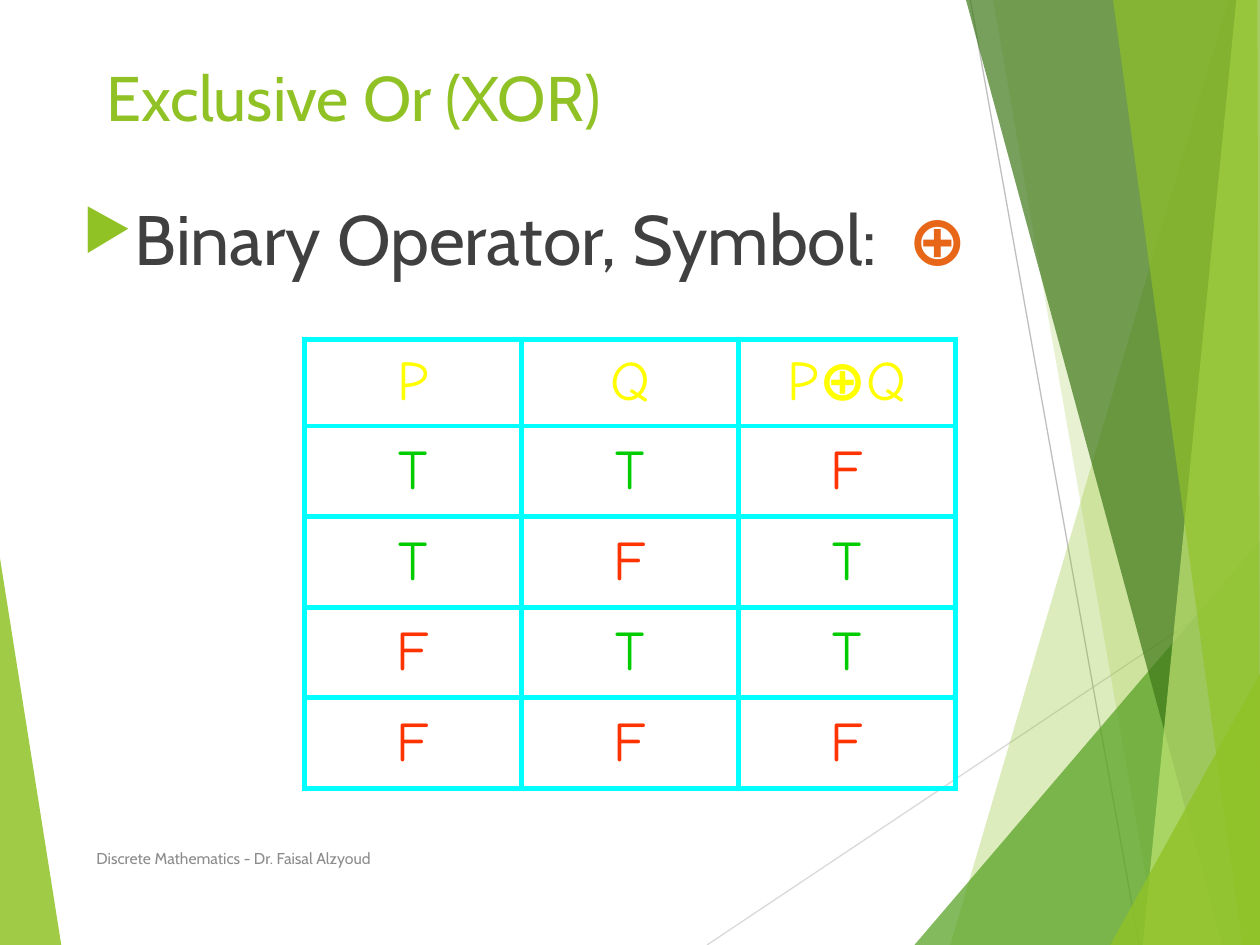
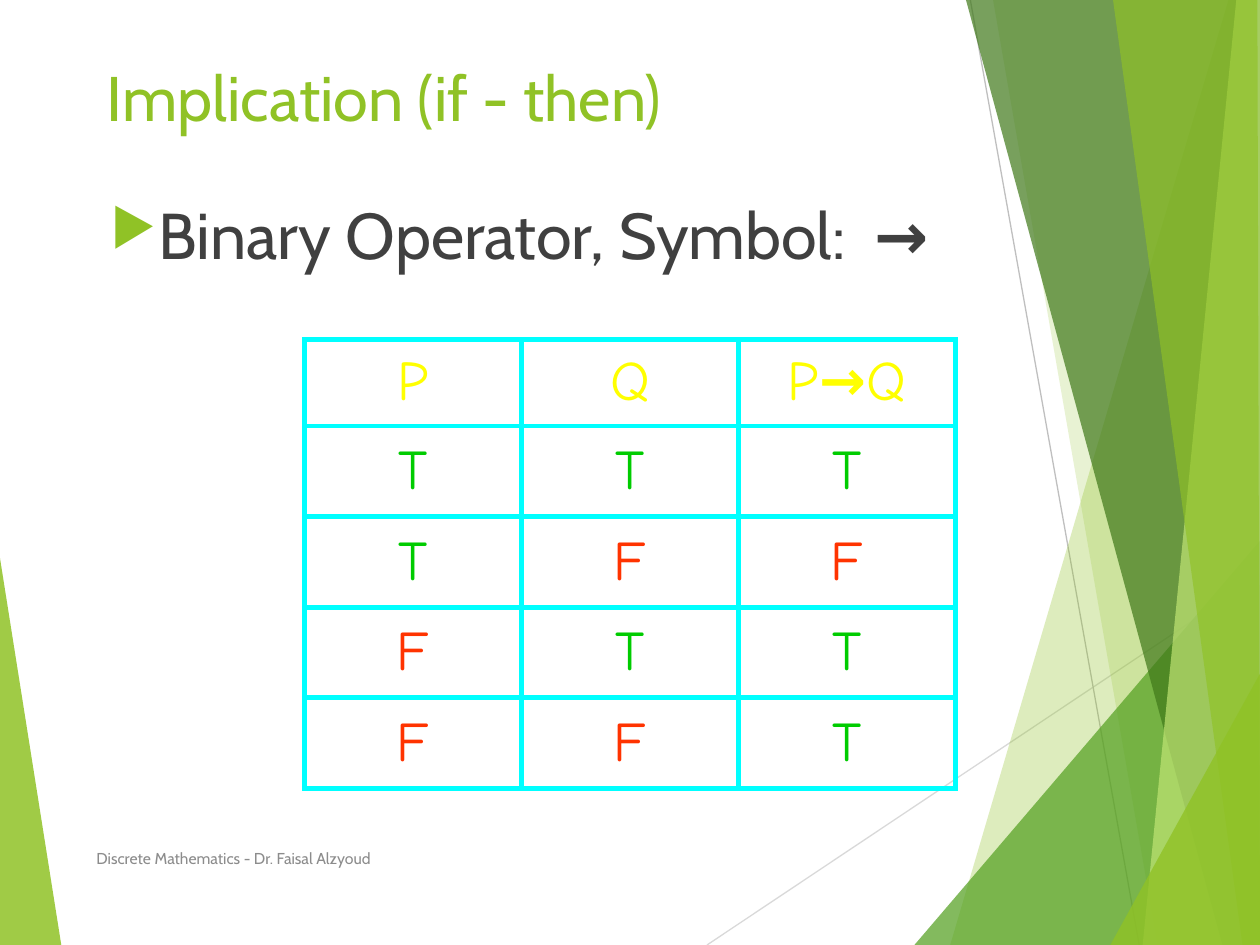
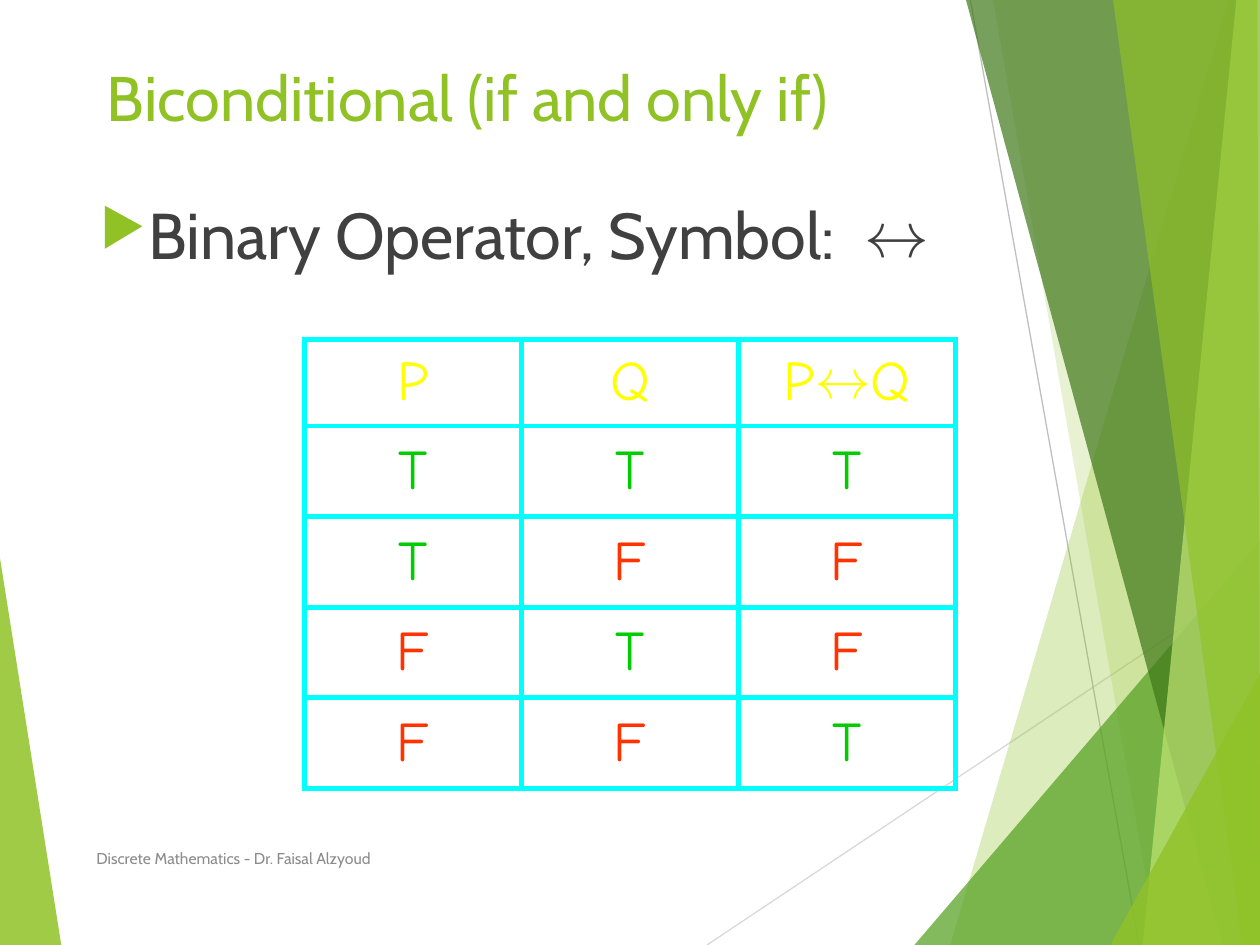
"""Builds three truth-table slides for XOR, implication and biconditional."""
from lxml import etree
from pptx import Presentation
from pptx.dml.color import RGBColor
from pptx.enum import shapes, text
from pptx.oxml import ns, parse_xml
from pptx.util import Pt

LIME = RGBColor(0x90, 0xC2, 0x26)
GREEN = RGBColor(0x54, 0xA0, 0x21)
DARK_GREEN = RGBColor(0x3F, 0x78, 0x19)
PALE_LIME = RGBColor(0xC0, 0xE4, 0x74)
LIGHT_GREY = RGBColor(0xD9, 0xD9, 0xD9)
MID_GREY = RGBColor(0xBF, 0xBF, 0xBF)
FOOTER_GREY = RGBColor(0x8C, 0x8C, 0x8C)
BODY_GREY = RGBColor(0x40, 0x40, 0x40)
ORANGE = RGBColor(0xE7, 0x66, 0x18)
CYAN = RGBColor(0x00, 0xFF, 0xFF)
YELLOW = RGBColor(0xFF, 0xFF, 0x00)
TRUTH_COLORS = {"T": RGBColor(0x00, 0xCC, 0x00), "F": RGBColor(0xFF, 0x33, 0x00)}
BODY_FONT, TABLE_FONT = "Cabin", "Comic Neue"

GUIDE_LINES = [
    (404, 540, 720, 329, LIGHT_GREY),
    (554.5, 0, 651, 540, MID_GREY),
]
BANDS = [
    ([(0, 319), (35, 540), (0, 540)], LIME, 85),
    ([(702, 0), (543, 540), (720, 540), (720, 0)], LIME, 30),
    ([(567.5, 0), (661.5, 540), (720, 540), (720, 0)], LIME, 20),
    ([(522.5, 540), (720, 309), (720, 540)], GREEN, 72),
    ([(552, 0), (698.5, 540), (720, 540), (720, 0)], DARK_GREEN, 70),
    ([(706.5, 0), (653, 540), (720, 540), (720, 0)], PALE_LIME, 70),
    ([(636, 0), (710, 540), (720, 540), (718.5, 0)], LIME, 65),
    ([(634.5, 540), (720, 385), (720, 540)], LIME, 80),
]
BULLET = [
    f'<a:buClr {ns.nsdecls("a")}><a:srgbClr val="{LIME}"/></a:buClr>',
    f'<a:buSzPct {ns.nsdecls("a")} val="80000"/>',
    f'<a:buChar {ns.nsdecls("a")} char="▶"/>',
]
SLIDES = [
    ("Exclusive Or (XOR)", "⊕", ORANGE, 40, 24, 552, "FTTF"),
    ("Implication (if - then)", "→", BODY_GREY, 37, 24, 546, "TFTT"),
    ("Biconditional (if and only if)", "↔", BODY_GREY, 37, 18, 552, "TFFT"),
]


def add_run(p, words, size, color, font=BODY_FONT, bold=False):
    r = p.add_run()
    r.text = words
    r.font.size = Pt(size)
    r.font.name = font
    r.font.bold = bold
    r.font.color.rgb = color


def add_box(s, left, top, width, height, anchor=text.MSO_ANCHOR.TOP):
    tf = s.shapes.add_textbox(Pt(left), Pt(top), Pt(width), Pt(height)).text_frame
    tf.word_wrap = True
    tf.vertical_anchor = anchor
    return tf.paragraphs[0]


prs = Presentation()
prs.slide_width, prs.slide_height = Pt(720), Pt(540)

for title, symbol, symbol_color, size, body_left, body_width, results in SLIDES:
    s = prs.slides.add_slide(prs.slide_layouts[6])

    for x1, y1, x2, y2, color in GUIDE_LINES:
        line = s.shapes.add_connector(
            shapes.MSO_CONNECTOR.STRAIGHT, Pt(x1), Pt(y1), Pt(x2), Pt(y2))
        line.line.color.rgb = color
        line.line.width = Pt(0.75)
        etree.SubElement(line._element.spPr, ns.qn("a:effectLst"))

    for points, color, opacity in BANDS:
        start, *rest = [(Pt(x), Pt(y)) for x, y in points]
        outline = s.shapes.build_freeform(*start)
        outline.add_line_segments(rest)
        band = outline.convert_to_shape()
        band.shadow.inherit = False
        band.line.fill.background()
        band.fill.solid()
        band.fill.fore_color.rgb = color
        fill_color = band._element.spPr.find(".//" + ns.qn("a:srgbClr"))
        etree.SubElement(fill_color, ns.qn("a:alpha"), val=str(opacity * 1000))

    p = add_box(s, body_left, 108, body_width, 66)
    p.alignment = text.PP_ALIGN.CENTER
    pPr = p._p.get_or_add_pPr()
    pPr.set("marL", str(Pt(27)))
    pPr.set("indent", str(-Pt(27)))
    for xml in BULLET:
        pPr.append(parse_xml(xml))
    add_run(p, "Binary Operator, Symbol:  ", size, BODY_GREY)
    add_run(p, symbol, size, symbol_color, bold=True)

    p = add_box(s, 54, 30, 612, 54)
    add_run(p, title, 36, LIME)

    rows = [("P", "Q", f"P{symbol}Q"), *zip("TTFF", "TFTF", results)]
    table = s.shapes.add_table(5, 3, Pt(174), Pt(194), Pt(372), Pt(256.5)).table
    for column in table.columns:
        column.width = Pt(124)
    for i, values in enumerate(rows):
        table.rows[i].height = Pt(51.75 if i else 49.5)
        for j, value in enumerate(values):
            cell = table.cell(i, j)
            cell.vertical_anchor = text.MSO_ANCHOR.MIDDLE
            tcPr = cell._tc.get_or_add_tcPr()
            for side in ("lnL", "lnR", "lnT", "lnB"):
                tcPr.append(parse_xml(
                    f'<a:{side} {ns.nsdecls("a")} w="{Pt(3)}"><a:solidFill>'
                    f'<a:srgbClr val="{CYAN}"/></a:solidFill></a:{side}>'))
            cell.fill.background()
            p = cell.text_frame.paragraphs[0]
            p.alignment = text.PP_ALIGN.CENTER
            for letter in value:
                color = TRUTH_COLORS.get(letter, YELLOW)
                add_run(p, letter, 32, color, TABLE_FONT, letter == symbol)

    p = add_box(s, 48, 476, 364, 29, text.MSO_ANCHOR.MIDDLE)
    add_run(p, "Discrete Mathematics - Dr. Faisal Alzyoud", 9, FOOTER_GREY)

prs.save("out.pptx")
